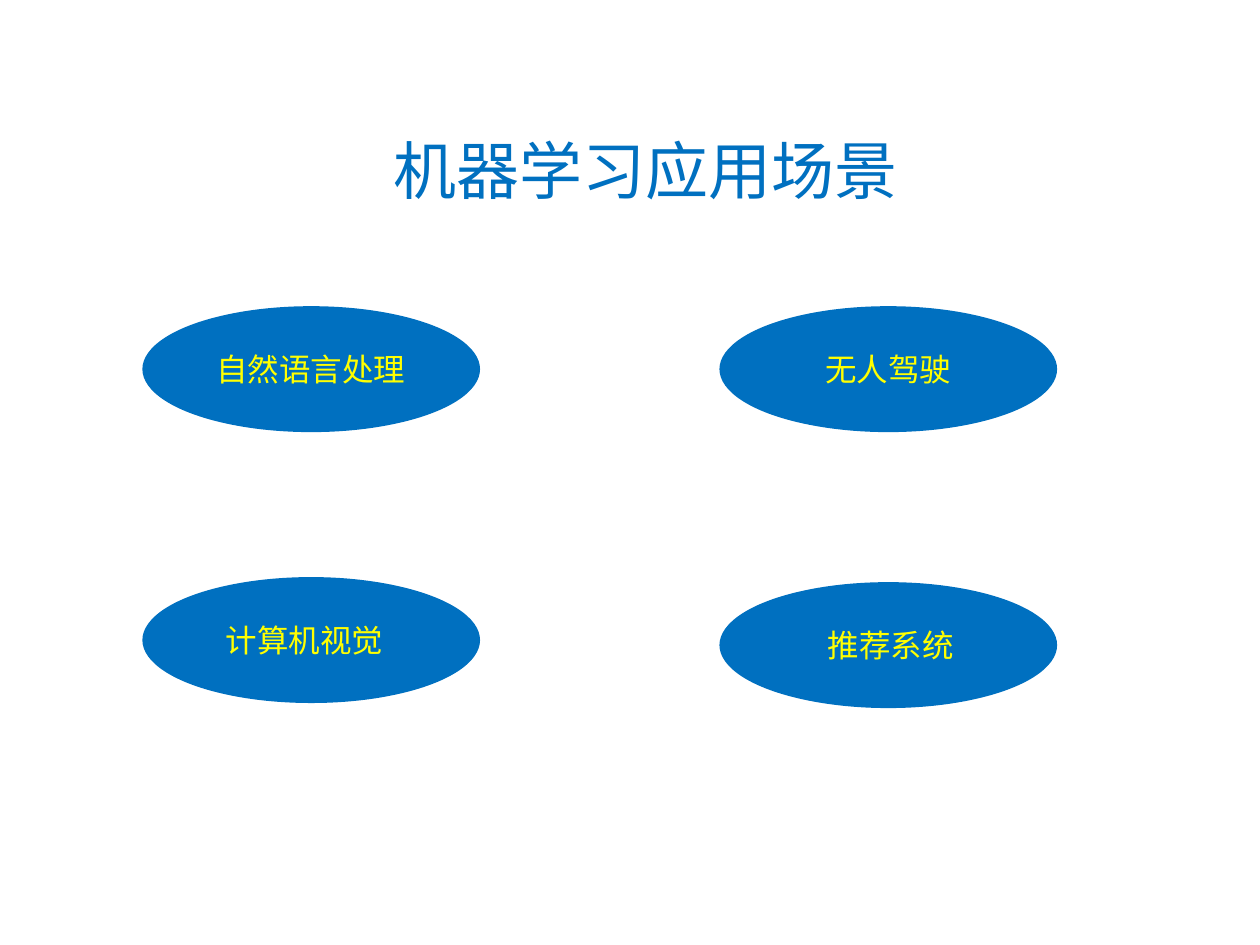
import pptx
import pptx.dml.color
import pptx.enum.shapes
import pptx.enum.text
import pptx.util

BLUE = pptx.dml.color.RGBColor(0x00, 0x70, 0xC0)
GOLD = pptx.dml.color.RGBColor(0xFF, 0xFF, 0x00)
FONT = "Roboto"
WIDE = pptx.util.Inches(10)
HIGH = pptx.util.Inches(7.5)
OVAL = (26.8, 13.33)
SCENES = [
    ("自然语言处理", 11.3, 32.4, 0),
    ("计算机视觉", 11.3, 61.07, -0.5),
    ("无人驾驶", 57.1, 32.4, 0),
    ("推荐系统", 57.1, 61.6, 0.2),
]


def area(left, top, width, height):
    """Turn percentages of the slide into a box of lengths."""
    return [int(part * side / 100) for part, side in
            zip((left, top, width, height), (WIDE, HIGH, WIDE, HIGH))]


def write(shape, text, size, color, align):
    """Write one unwrapped line of text in a shape."""
    frame = shape.text_frame
    frame.word_wrap = False
    frame.auto_size = pptx.enum.text.MSO_AUTO_SIZE.SHAPE_TO_FIT_TEXT
    frame.vertical_anchor = pptx.enum.text.MSO_ANCHOR.TOP
    line = frame.paragraphs[0]
    line.alignment = align
    run = line.add_run()
    run.text = text
    run.font.name = FONT
    run.font.size = pptx.util.Pt(size)
    run.font.color.rgb = color


def add_title(slide, text):
    """Place and fill the title."""
    title = slide.shapes.title
    title.left, title.top, title.width, title.height = area(30, 13.2, 42.4, 9.47)
    write(title, text, 36, BLUE, pptx.enum.text.PP_ALIGN.CENTER)


def add_oval(slide, left, top):
    """Draw a plain blue oval."""
    oval = slide.shapes.add_shape(
        pptx.enum.shapes.MSO_SHAPE.OVAL, *area(left, top, *OVAL))
    oval.shadow.inherit = False
    oval.fill.solid()
    oval.fill.fore_color.rgb = BLUE
    oval.line.fill.background()


def add_label(slide, text, left, top, shift):
    """Set a label over the middle of an oval."""
    width = 2 + 2.5 * len(text)
    start = left + (OVAL[0] - width) / 2 + shift
    box = slide.shapes.add_textbox(*area(start, top + 4, width, 5.33))
    write(box, text, 18, GOLD, pptx.enum.text.PP_ALIGN.LEFT)


def main():
    """Build and save the slide."""
    deck = pptx.Presentation()
    deck.slide_width, deck.slide_height = WIDE, HIGH
    slide = deck.slides.add_slide(deck.slide_layouts[5])
    add_title(slide, "机器学习应用场景")
    for text, left, top, shift in SCENES:
        add_oval(slide, left, top)
        add_label(slide, text, left, top, shift)
    deck.save("out.pptx")


if __name__ == "__main__":
    main()
